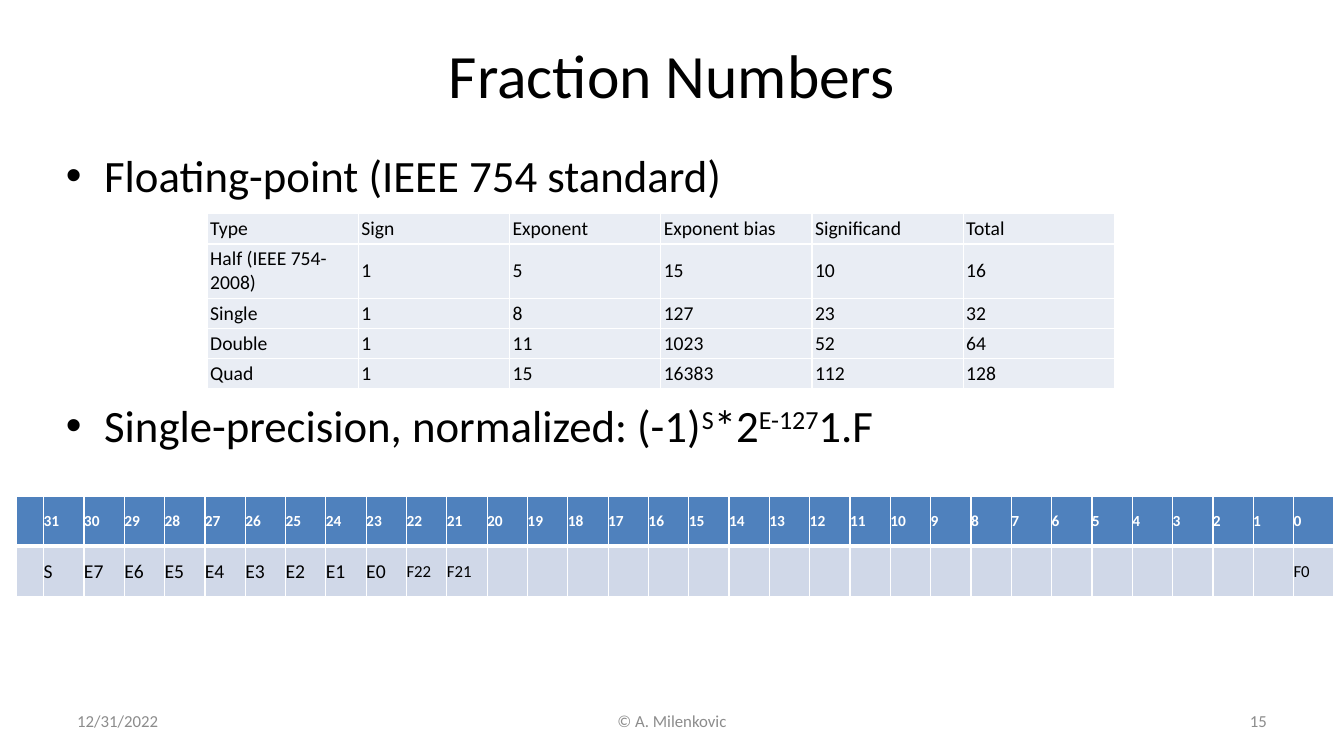
import pptx
import pptx.dml.color
import pptx.enum.text
import pptx.oxml
import pptx.oxml.ns
import pptx.util
from lxml import etree

ALIGN = pptx.enum.text.PP_ALIGN
ANCHOR = pptx.enum.text.MSO_ANCHOR
BLACK, WHITE, GREY = "000000", "FFFFFF", "8C8C8C"
BLUE, PALE_BLUE, PALE_GREY = "4F81BD", "D0D8E8", "E9EDF4"


def color(value):
    return pptx.dml.color.RGBColor.from_string(value)


def add_xml(parent, tag, **attrs):
    return etree.SubElement(parent, pptx.oxml.ns.qn(tag), attrs)


class Deck:
    """Style and current slide, on a grid of 120 columns and 75 rows."""

    font = "Calibri"

    def __init__(self):
        self.prs = pptx.Presentation()
        self.prs.slide_width = pptx.util.Inches(40 / 3)
        self.prs.slide_height = pptx.util.Inches(7.5)
        self.s = self.prs.slides.add_slide(self.prs.slide_layouts[6])

    def col(self, n):
        return round(self.prs.slide_width * n / 120)

    def row(self, n):
        return round(self.prs.slide_height * n / 75)

    def style(self, p, size, fill=BLACK, bold=False):
        for r in p.runs:
            r.font.name = self.font
            r.font.size = pptx.util.Pt(size)
            r.font.bold = bold
            r.font.color.rgb = color(fill)

    def box(self, x, y, w, h, anchor=ANCHOR.MIDDLE):
        sp = self.s.shapes.add_textbox(self.col(x), self.row(y), self.col(w), self.row(h))
        tf = sp.text_frame
        tf.word_wrap = True
        tf.vertical_anchor = anchor
        return tf

    def text(self, x, y, w, h, text, size, fill=BLACK, align=ALIGN.LEFT):
        tf = self.box(x, y, w, h)
        tf.text = text
        p = tf.paragraphs[0]
        p.alignment = align
        self.style(p, size, fill)

    def bullets(self, x, y, w, h, items, size, gap):
        """Each item is a list of pieces; every second piece is superscript."""
        tf = self.box(x, y, w, h, ANCHOR.TOP)
        for i, pieces in enumerate(items):
            p = tf.add_paragraph() if i else tf.paragraphs[0]
            p.space_before = pptx.util.Pt(gap if i else 0)
            pPr = p._p.get_or_add_pPr()
            indent = pptx.util.Inches(0.38)
            pPr.set("marL", str(indent))
            pPr.set("indent", str(-indent))
            add_xml(pPr, "a:buFont", typeface="Arial")
            add_xml(pPr, "a:buChar", char="•")
            for j, piece in enumerate(pieces):
                r = p.add_run()
                r.text = piece
                if j % 2:
                    r._r.get_or_add_rPr().set("baseline", "30000")
            self.style(p, size)

    def table(self, x, y, widths, heights):
        frame = self.s.shapes.add_table(len(heights), len(widths), self.col(x), self.row(y),
                                        self.col(sum(widths)), self.row(sum(heights)))
        table = frame.table
        table.first_row = table.horz_banding = False
        for column, width in zip(table.columns, widths):
            column.width = self.col(width)
        for line, height in zip(table.rows, heights):
            line.height = self.row(height)
        return table

    def cell(self, cell, text, size, fill, ink=BLACK, bold=False, pad=(0.03, 0.03), bottom=1):
        side, end = map(pptx.util.Inches, pad)
        cell.margin_left = cell.margin_right = side
        cell.margin_top = cell.margin_bottom = end
        cell.vertical_anchor = ANCHOR.MIDDLE
        tcPr = cell._tc.get_or_add_tcPr()
        for edge, width in (("L", 1), ("R", 1), ("T", 1), ("B", bottom)):
            ln = add_xml(tcPr, "a:ln" + edge, w=str(pptx.util.Pt(width)))
            add_xml(add_xml(ln, "a:solidFill"), "a:srgbClr", val=WHITE)
        cell.fill.solid()
        cell.fill.fore_color.rgb = color(fill)
        if text:
            cell.text_frame.text = text
            self.style(cell.text_frame.paragraphs[0], size, ink, bold)


def main():
    deck = Deck()

    # Title and bullets
    deck.text(6, 3, 108, 8.7, "Fraction Numbers", 44, align=ALIGN.CENTER)
    deck.bullets(5, 14.2, 108, 49.5, [
        ["Floating-point (IEEE 754 standard)"],
        ["Single-precision, normalized: (-1)", "S", "*2", "E-127", "1.F"],
    ], 32, gap=140)

    # Footer
    deck.text(6, 69.5, 28, 4, "12/31/2022", 12, GREY)
    deck.text(41, 69.5, 38, 4, "© A. Milenkovic", 12, GREY, ALIGN.CENTER)
    deck.text(86, 69.5, 28, 4, "15", 12, GREY, ALIGN.RIGHT)

    # Floating-point formats
    formats = [
        ["Type", "Sign", "Exponent", "Exponent bias", "Significand", "Total"],
        ["Half (IEEE 754-2008)", "1", "5", "15", "10", "16"],
        ["Single", "1", "8", "127", "23", "32"],
        ["Double", "1", "11", "1023", "52", "64"],
        ["Quad", "1", "15", "16383", "112", "128"],
    ]
    table = deck.table(18.5, 21.2, [13.5] * 6, [3, 5.4, 3, 3, 3])
    for i, values in enumerate(formats):
        for j, value in enumerate(values):
            deck.cell(table.cell(i, j), value, 14, PALE_GREY)

    # Bit layout of a single-precision number
    bits = [""] + [str(bit) for bit in range(31, -1, -1)]
    fields = ["", "S"] + [f"E{n}" for n in range(7, -1, -1)] + ["F22", "F21"] + [""] * 20 + ["F0"]
    table = deck.table(1.5, 49.2, [2.4] + [3.6] * 32, [5, 5])
    for j, (bit, field) in enumerate(zip(bits, fields)):
        deck.cell(table.cell(0, j), bit, 11, BLUE, WHITE, True, pad=(0, 0.05), bottom=3)
        size = 12 if field.startswith("F") else 14
        deck.cell(table.cell(1, j), field, size, PALE_BLUE, pad=(0, 0.05))

    deck.prs.save("out.pptx")


if __name__ == "__main__":
    main()
